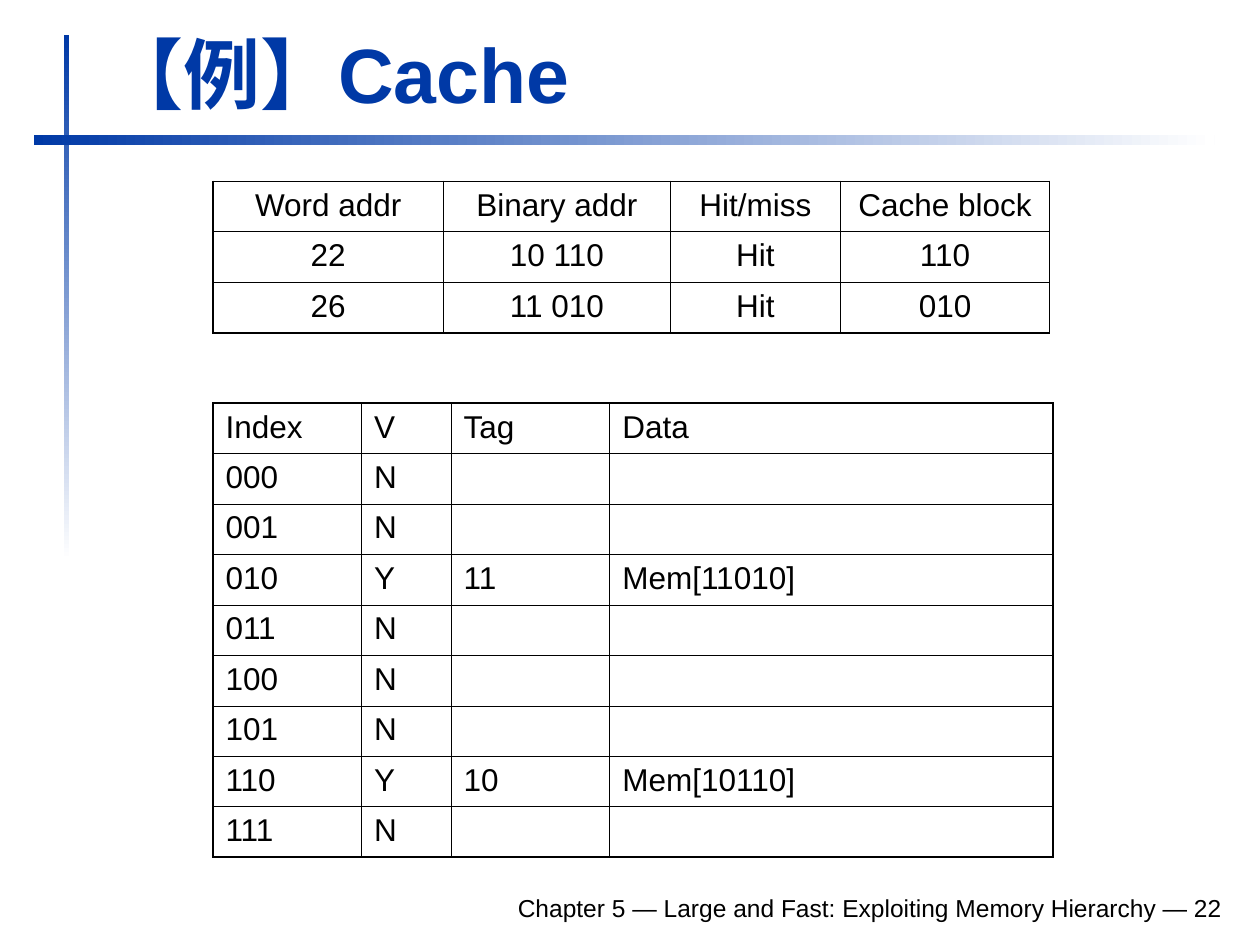
from lxml.etree import SubElement
from pptx import Presentation
from pptx.dml.color import RGBColor
from pptx.enum.shapes import MSO_SHAPE
from pptx.enum.text import MSO_ANCHOR, MSO_AUTO_SIZE, PP_ALIGN
from pptx.oxml.ns import qn
from pptx.util import Inches, Pt

BLUE = RGBColor(0x00, 0x39, 0xA6)
BLACK = RGBColor(0x00, 0x00, 0x00)
WHITE = RGBColor(0xFF, 0xFF, 0xFF)
FONT = "Arial"
OUTER, HEADER, INNER = 1.08, 0.75, 0.45  # table line widths in points
ROW_HEIGHT = 0.4

ACCESSES = [
    ("Word addr", "Binary addr", "Hit/miss", "Cache block"),
    ("22", "10 110", "Hit", "110"),
    ("26", "11 010", "Hit", "010"),
]
CACHED = {"010": ("Y", "11", "Mem[11010]"), "110": ("Y", "10", "Mem[10110]")}
INDEXES = [f"{i:03b}" for i in range(8)]
CACHE = [("Index", "V", "Tag", "Data")] + [
    (index, *CACHED.get(index, ("N", "", ""))) for index in INDEXES
]


def format_paragraph(p, size, color=BLACK, bold=False, align=PP_ALIGN.LEFT):
    p.alignment = align
    for r in p.runs:
        r.font.name = FONT
        r.font.size = Pt(size)
        r.font.bold = bold
        r.font.color.rgb = color


def add_text(s, box, text, size, **style):
    sp = s.shapes.add_textbox(*map(Inches, box))
    tf = sp.text_frame
    tf.text = text
    tf.word_wrap = True
    tf.vertical_anchor = MSO_ANCHOR.BOTTOM
    format_paragraph(tf.paragraphs[0], size, **style)
    return sp


def add_gradient_bar(s, box, angle):
    sp = s.shapes.add_shape(MSO_SHAPE.RECTANGLE, *map(Inches, box))
    sp.shadow.inherit = False
    sp.line.fill.background()
    sp.fill.gradient()
    sp.fill.gradient_angle = angle
    for stop, color, position in zip(sp.fill.gradient_stops, (BLUE, WHITE), (0, 1)):
        stop.color.rgb = color
        stop.position = position


def set_borders(cell, widths):
    tcPr = cell._tc.get_or_add_tcPr()
    for side, width in zip("LRTB", widths):
        ln = SubElement(tcPr, qn(f"a:ln{side}"), w=str(Pt(width)))
        fill = SubElement(ln, qn("a:solidFill"))
        SubElement(fill, qn("a:srgbClr"), val=str(BLACK))


def add_grid(s, left, top, col_widths, rows, row_line, align):
    n_rows, n_cols = len(rows), len(col_widths)
    frame = s.shapes.add_table(
        n_rows, n_cols, Inches(left), Inches(top),
        Inches(sum(col_widths)), Inches(ROW_HEIGHT * n_rows))
    table = frame.table
    table.first_row = table.horz_banding = False
    for column, width in zip(table.columns, col_widths):
        column.width = Inches(width)

    # Line widths from edge to edge
    across = [OUTER, HEADER] + [row_line] * (n_rows - 2) + [OUTER]
    down = [OUTER] + [INNER] * (n_cols - 1) + [OUTER]
    for i, row in enumerate(rows):
        table.rows[i].height = Inches(ROW_HEIGHT)
        for j, text in enumerate(row):
            cell = table.cell(i, j)
            cell.text_frame.text = text
            format_paragraph(cell.text_frame.paragraphs[0], 18, align=align)
            set_borders(cell, (down[j], down[j + 1], across[i], across[i + 1]))
            cell.fill.background()


def main():
    prs = Presentation()
    prs.slide_width, prs.slide_height = Inches(10), Inches(7.5)
    s = prs.slides.add_slide(prs.slide_layouts[6])

    # Crossing bars
    add_gradient_bar(s, (0.51, 0.28, 0.04, 4.17), 270)
    add_gradient_bar(s, (0.27, 1.07, 9.37, 0.08), 0)

    # Footer and title
    add_text(s, (1.85, 6.98, 7.95, 0.39),
             "Chapter 5 — Large and Fast: Exploiting Memory Hierarchy — 22",
             14, align=PP_ALIGN.RIGHT)
    title = add_text(s, (0.75, 0.16, 9.03, 0.83), "【例】Cache", 44,
                     color=BLUE, bold=True)
    title.text_frame.auto_size = MSO_AUTO_SIZE.SHAPE_TO_FIT_TEXT

    # Cache contents, then the accesses
    add_grid(s, 1.69, 3.2, (1.18, 0.71, 1.26, 3.52), CACHE, INNER, PP_ALIGN.LEFT)
    add_grid(s, 1.69, 1.44, (1.83, 1.8, 1.35, 1.66), ACCESSES, HEADER, PP_ALIGN.CENTER)

    prs.save("out.pptx")


if __name__ == "__main__":
    main()
